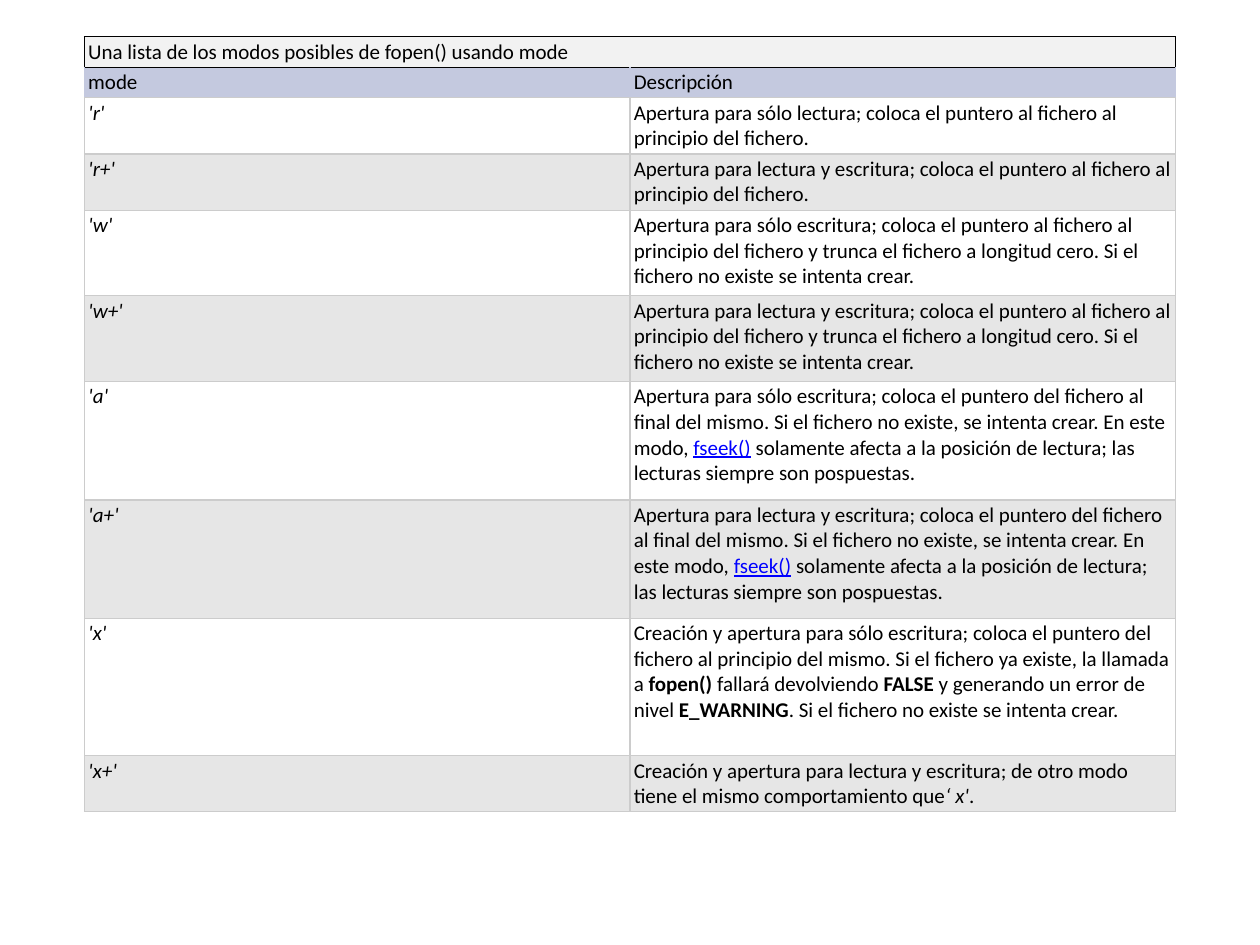
from dataclasses import dataclass

from lxml.etree import SubElement
from pptx import Presentation
from pptx.dml.color import RGBColor
from pptx.enum.text import MSO_ANCHOR
from pptx.oxml.ns import qn
from pptx.util import Inches, Pt


@dataclass(frozen=True)
class Theme:
    font: str = "Calibri"
    size: float = 12
    line: float = 0.75
    ink: str = "000000"
    link: str = "0000FF"
    title: str = "F2F2F2"
    head: str = "C4C9DF"
    bands: tuple = ("FFFFFF", "E6E6E6")
    rule: str = "CCCCCC"


THEME = Theme()
PADS = {
    "margin_left": Inches(0.03),
    "margin_right": Inches(0.03),
    "margin_top": Inches(0.02),
    "margin_bottom": Inches(0.02),
}

# Run styles
ITALIC = {"italic": True}
BOLD = {"bold": True}
LINK = {"underline": True, "color": THEME.link}

# Wording
TITLE = "Una lista de los modos posibles de fopen() usando mode"
HEADS = ("mode", "Descripción")
START = "coloca el puntero al fichero al principio del fichero"
TRUNC = (START + " y trunca el fichero a longitud cero. "
         "Si el fichero no existe se intenta crear.")
READ = "Apertura para sólo lectura; "
WRITE = "Apertura para sólo escritura; "
BOTH = "Apertura para lectura y escritura; "
END = ("coloca el puntero del fichero al final del mismo. "
       "Si el fichero no existe, se intenta crear. En este modo, ")
SEEK = (
    ("fseek()", LINK),
    (" solamente afecta a la posición de lectura; "
     "las lecturas siempre son pospuestas.", {}),
)

# Mode, row height, runs of its description
MODES = (
    ("r", 0.43, ((READ + START + ".", {}),)),
    ("r+", 0.43, ((BOTH + START + ".", {}),)),
    ("w", 0.68, ((WRITE + TRUNC, {}),)),
    ("w+", 0.68, ((BOTH + TRUNC, {}),)),
    ("a", 0.94, ((WRITE + END, {}), *SEEK)),
    ("a+", 0.94, ((BOTH + END, {}), *SEEK)),
    ("x", 1.09, (
        ("Creación y apertura para sólo escritura; coloca el puntero del "
         "fichero al principio del mismo. Si el fichero ya existe, "
         "la llamada a ", {}),
        ("fopen()", BOLD),
        (" fallará devolviendo ", {}),
        ("FALSE", BOLD),
        (" y generando un error de nivel ", {}),
        ("E_WARNING", BOLD),
        (". Si el fichero no existe se intenta crear.", {}),
    )),
    ("x+", 0.43, (
        ("Creación y apertura para lectura y escritura; de otro modo tiene "
         "el mismo comportamiento que", {}),
        ("‘ x'", ITALIC),
        (".", {}),
    )),
)


def add_runs(cell, runs):
    para = cell.text_frame.paragraphs[0]
    for text, style in runs:
        run = para.add_run()
        run.text = text
        look = {"name": THEME.font, "size": Pt(THEME.size),
                "color": THEME.ink, **style}
        run.font.color.rgb = RGBColor.from_string(look.pop("color"))
        for key, value in look.items():
            setattr(run.font, key, value)


def add_edges(cell, edges):
    props = cell._tc.get_or_add_tcPr()
    for side in "LRTB":
        if side in edges:
            line = SubElement(props, qn(f"a:ln{side}"),
                              w=str(Pt(THEME.line)))
            fill = SubElement(line, qn("a:solidFill"))
            SubElement(fill, qn("a:srgbClr"), val=edges[side])


def fill_cell(cell, runs, fill, edges, anchor=MSO_ANCHOR.TOP):
    for key, value in {**PADS, "vertical_anchor": anchor}.items():
        setattr(cell, key, value)
    add_edges(cell, edges)
    cell.fill.solid()
    cell.fill.fore_color.rgb = RGBColor.from_string(fill)
    add_runs(cell, runs)


def add_modes(slide, left, top, width, height):
    highs = [0.17, 0.17] + [high for _, high, _ in MODES]
    grid = slide.shapes.add_table(
        len(highs), 2, Inches(left), Inches(top),
        Inches(width), Inches(height)).table
    for col in grid.columns:
        col.width = Inches(width / 2)
    for row, high in zip(grid.rows, highs):
        row.height = Inches(high)

    # Title across both columns
    box = dict.fromkeys("LRTB", THEME.ink)
    grid.cell(0, 0).merge(grid.cell(0, 1))
    fill_cell(grid.cell(0, 0), [(TITLE, {})], THEME.title, box,
              MSO_ANCHOR.MIDDLE)
    add_edges(grid.cell(0, 1), box)

    # Column heads
    edges = {"L": THEME.head, "R": THEME.head,
             "T": THEME.ink, "B": THEME.rule}
    for col, head in enumerate(HEADS):
        fill_cell(grid.cell(1, col), [(head, {})], THEME.head, edges,
                  MSO_ANCHOR.MIDDLE)

    # Banded rows
    edges = dict.fromkeys("LRTB", THEME.rule)
    for num, (mode, _, runs) in enumerate(MODES):
        band = THEME.bands[num % 2]
        for col, part in enumerate(([(f"'{mode}'", ITALIC)], runs)):
            fill_cell(grid.cell(num + 2, col), part, band, edges)


def main():
    deck = Presentation()
    deck.slide_width, deck.slide_height = Inches(10), Inches(7.5)
    slide = deck.slides.add_slide(deck.slide_layouts[6])
    add_modes(slide, 0.67, 0.29, 8.66, 6.1)
    deck.save("out.pptx")


if __name__ == "__main__":
    main()
